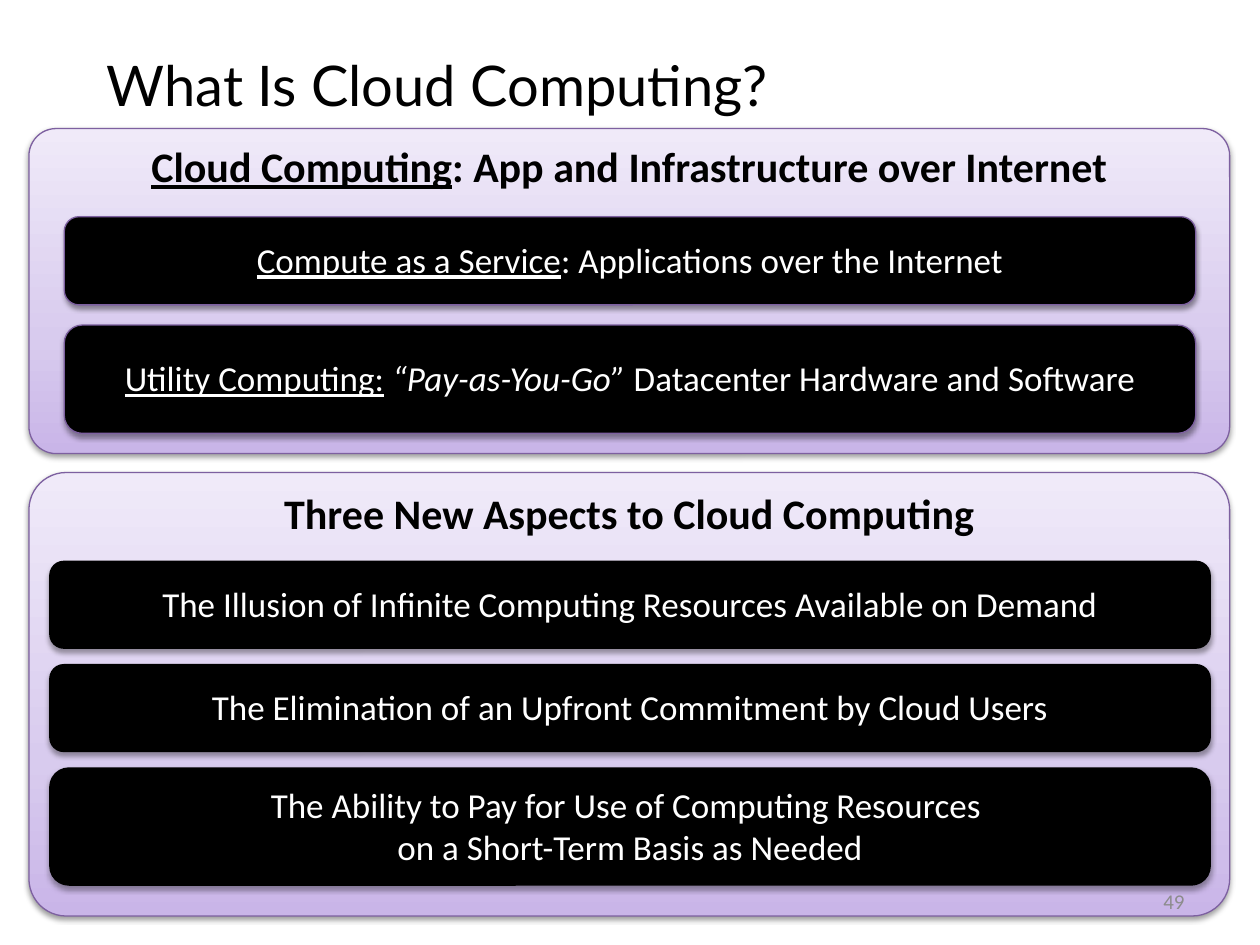
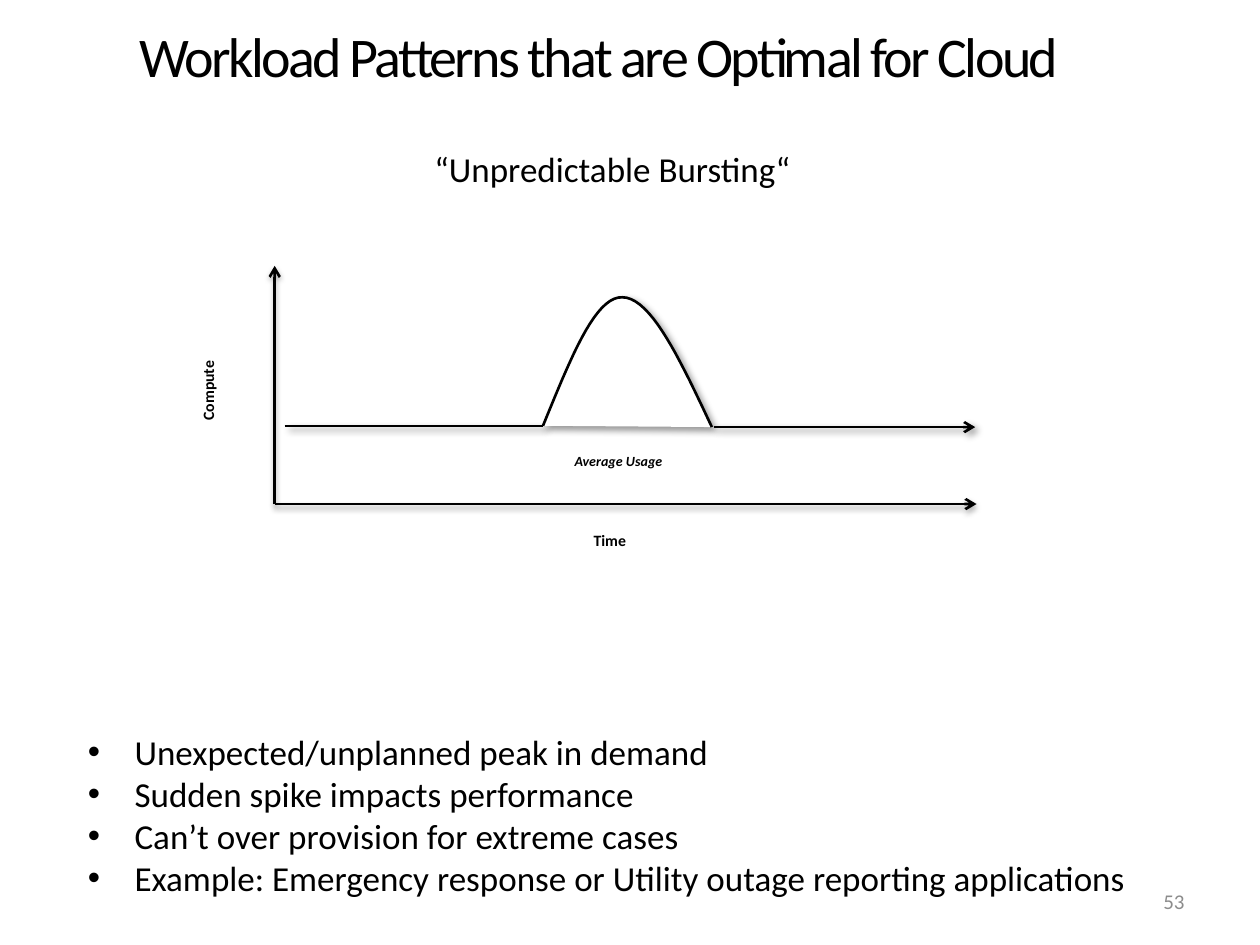
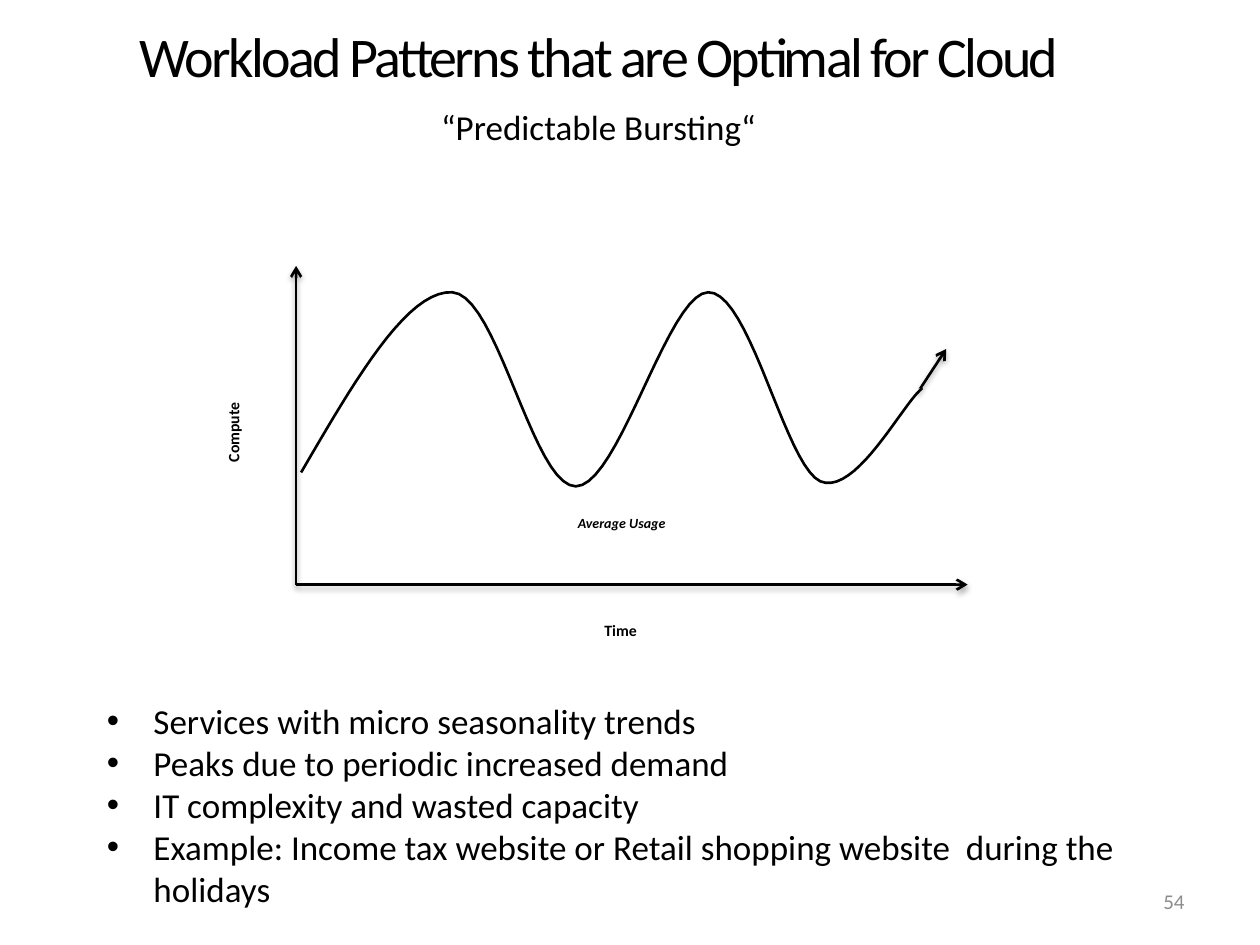
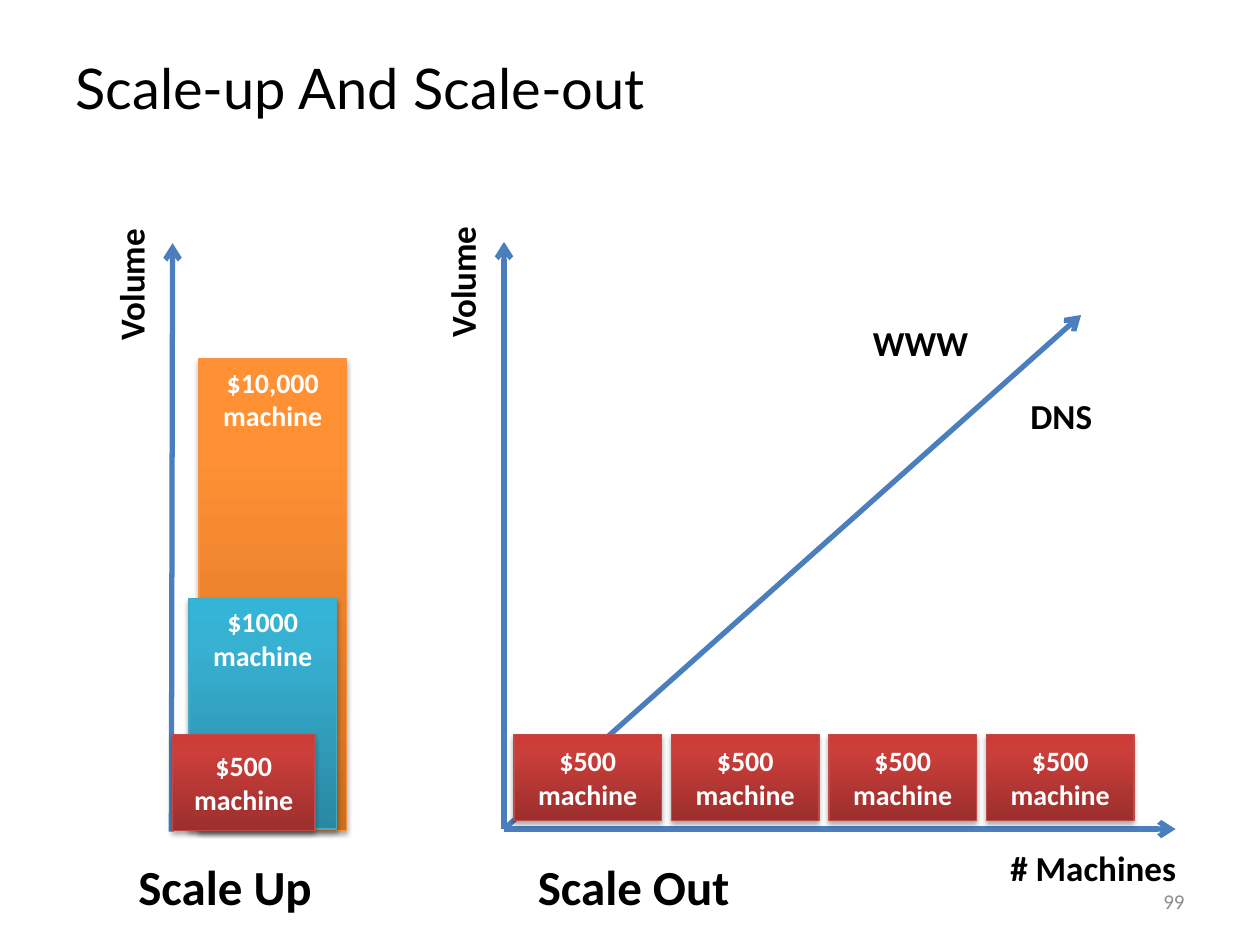
import pptx
import pptx.dml.color
import pptx.enum.shapes
import pptx.enum.text
import pptx.oxml
import pptx.oxml.ns
import pptx.util

Inches = pptx.util.Inches
Pt = pptx.util.Pt
qn = pptx.oxml.ns.qn
RGB = pptx.dml.color.RGBColor.from_string
SHAPE = pptx.enum.shapes.MSO_SHAPE
ALIGN = pptx.enum.text.PP_ALIGN
ANCHOR = pptx.enum.text.MSO_ANCHOR
NAMESPACE = pptx.oxml.ns.nsdecls("a")

COLORS = {
    "black": "000000",
    "white": "FFFFFF",
    "page number": "8C8C8C",
    "purple": "7D60A0",
    "axis blue": "4B7EBC",
    "orange": "F69240",
    "teal": "46AAC5",
    "red": "BF4C48",
}
# Each gradient runs from bottom to top: (position in percent, colour).
GRADIENTS = {
    "lavender": [(0, "C9B5E8"), (35, "D8CBEE"), (100, "F0EAF9")],
    "orange blend": [(0, "CC6E20"), (80, "FF9034"), (100, "FF9136")],
    "teal blend": [(0, "2A88A2"), (80, "37B1D2"), (100, "34B4D6")],
    "red blend": [(0, "9C2F2D"), (80, "CB3E3A"), (100, "CE3B37")],
}
# Shadows: opacity in percent, blur and distance in points, direction in degrees.
PANEL_SHADOW = (38, 3.1, 1.6, 90)
SHADOW = (35, 3.1, 1.8, 90)
BURST_SHADOW = (40, 4, 3, 45)
SHADOW_XML = (
    '<a:effectLst {}><a:outerShdw blurRad="{}" dist="{}" dir="{}" rotWithShape="0">'
    '<a:srgbClr val="000000"><a:alpha val="{}"/></a:srgbClr></a:outerShdw></a:effectLst>'
)
TITLE_SIZE = 32
BODY_SIZE = 20


def finish(shape, line=None, width=0.75, shadow=None, arrow=False):
    """Set the outline, arrowhead and shadow of a shape or connector."""
    if line:
        shape.line.color.rgb = RGB(COLORS[line])
        shape.line.width = Pt(width)
    else:
        shape.line.fill.background()
    properties = shape.element.spPr
    if arrow:
        head = pptx.oxml.parse_xml(f'<a:tailEnd {NAMESPACE} type="arrow"/>')
        properties.find(qn("a:ln")).append(head)
    if shadow:
        opacity, blur, distance, direction = shadow
        effect = SHADOW_XML.format(NAMESPACE, Pt(blur), Pt(distance), direction * 60000, opacity * 1000)
    else:
        effect = f"<a:effectLst {NAMESPACE}/>"
    properties.append(pptx.oxml.parse_xml(effect))


def add_box(slide, at, paragraphs=(), size=BODY_SIZE, color="black", font="Calibri",
            bold=False, italic=False, align=ALIGN.LEFT, anchor=ANCHOR.TOP,
            margins=(0.1, 0.05, 0.1, 0.05), spacing=None, tracking=None, bullet=False,
            wrap=True, rotation=0, fill=None, line=None, width=0.75, shadow=None,
            kind=SHAPE.RECTANGLE, corner=None):
    """Add a text box, or a shape if there is a fill.

    A paragraph is a string, or a list of (text, flags) with flags u and i.
    """
    place = [Inches(length) for length in at]
    if fill is None:
        shape = slide.shapes.add_textbox(*place)
    else:
        shape = slide.shapes.add_shape(kind, *place)
        if corner:
            shape.adjustments[0] = corner
        if fill in GRADIENTS:
            shape.fill.gradient()
            shape.fill.gradient_angle = 90
            stops = shape.element.spPr.find(".//" + qn("a:gsLst"))
            stops.clear()
            for position, value in GRADIENTS[fill]:
                stops.append(pptx.oxml.parse_xml(
                    f'<a:gs {NAMESPACE} pos="{position * 1000}"><a:srgbClr val="{value}"/></a:gs>'))
        else:
            shape.fill.solid()
            shape.fill.fore_color.rgb = RGB(COLORS[fill])
        finish(shape, line, width, shadow)
    shape.rotation = rotation

    frame = shape.text_frame
    frame.word_wrap = wrap
    frame.vertical_anchor = anchor
    frame.margin_left, frame.margin_top, frame.margin_right, frame.margin_bottom = map(Inches, margins)
    for index, content in enumerate(paragraphs):
        paragraph = frame.add_paragraph() if index else frame.paragraphs[0]
        paragraph.alignment = align
        if spacing:
            paragraph.line_spacing = spacing
        if bullet:
            settings = paragraph._p.get_or_add_pPr()
            settings.set("marL", str(Inches(0.37)))
            settings.set("indent", str(Inches(-0.37)))
            settings.append(pptx.oxml.parse_xml(f'<a:buFont {NAMESPACE} typeface="Arial"/>'))
            settings.append(pptx.oxml.parse_xml(f'<a:buChar {NAMESPACE} char="•"/>'))
        if isinstance(content, str):
            paragraph.text = content
        else:
            for text, flags in content:
                run = paragraph.add_run()
                run.text = text
                run.font.underline = "u" in flags
                run.font.italic = "i" in flags
        for run in paragraph.runs:
            run.font.name = font
            run.font.size = Pt(size)
            run.font.color.rgb = RGB(COLORS[color])
            run.font.bold = bold
            if italic:
                run.font.italic = True
            if tracking:
                run.font._element.set("spc", str(tracking))


presentation = pptx.Presentation()
presentation.slide_width = Inches(10)
presentation.slide_height = Inches(7.5)
slides = [presentation.slides.add_slide(presentation.slide_layouts[6]) for _ in range(4)]
definition_slide, unpredictable_slide, predictable_slide, scaling_slide = slides

title_style = dict(size=TITLE_SIZE, font="Lato", anchor=ANCHOR.MIDDLE)

# What is cloud computing
add_box(definition_slide, (0.75, 0.17, 8.5, 1), ["What Is Cloud Computing?"], **title_style)

rounded = dict(kind=SHAPE.ROUNDED_RECTANGLE, align=ALIGN.CENTER, margins=(0.1, 0.03, 0.1, 0.05))
panel_style = dict(rounded, size=24, bold=True, fill="lavender", line="purple",
                   shadow=PANEL_SHADOW, corner=0.084)
bar_style = dict(rounded, color="white", fill="black", anchor=ANCHOR.MIDDLE)

add_box(definition_slide, (0.23, 1.02, 9.53, 2.58),
        [[("Cloud Computing", "u"), (": App and Infrastructure over Internet", "")]], **panel_style)
services = [
    (1.72, 0.7, [("Compute as a Service", "u"), (": Applications over the Internet", "")]),
    (2.58, 0.86, [("Utility Computing:", "u"), (" ", ""), ("“Pay-as-You-Go” ", "i"),
                  ("Datacenter Hardware and Software", "")]),
]
for top, height, runs in services:
    add_box(definition_slide, (0.51, top, 8.98, height), [runs],
            line="purple", shadow=PANEL_SHADOW, **bar_style)

add_box(definition_slide, (0.23, 3.75, 9.53, 3.52), ["Three New Aspects to Cloud Computing"], **panel_style)
aspects = [
    ("The Illusion of Infinite Computing Resources Available on Demand", 0.7),
    ("The Elimination of an Upfront Commitment by Cloud Users", 0.7),
    ("The Ability to Pay for Use of Computing Resources \non a Short-Term Basis as Needed", 0.94),
]
for index, (aspect, height) in enumerate(aspects):
    add_box(definition_slide, (0.39, 4.45 + 0.82 * index, 9.22, height), [aspect],
            shadow=SHADOW, **bar_style)

# Workload patterns; a curve is a start point followed by cubic Bézier segments
patterns = [
    dict(
        slide=unpredictable_slide,
        panel=(0.92, 1.08, 8, 4.58),
        origin=(2.18, 4), axis_top=2.11, axis_right=7.75,
        compute=(1.06, 2.87, 1.47, 0.46), time=(4.06, 4.2, 1.56, 0.42),
        subtitle=("“Unpredictable Bursting“", (1.77, 1.16, 6.28, 0.78)),
        average=(3.9, 3.59, 2.02, 0.28),
        bullets_at=(0.6, 5.75, 8.9, 1.45),
        bullets=["Unexpected/unplanned peak in demand",
                 "Sudden spike impacts performance",
                 "Can’t over provision for extreme cases",
                 "Example: Emergency response or Utility outage reporting applications"],
        usage_lines=[((5.67, 3.39), (7.74, 3.39), True), ((2.26, 3.38), (4.31, 3.38), False)],
        line_shadow=BURST_SHADOW, curve_shadow=BURST_SHADOW,
        start=(4.31, 3.38),
        segments=[((4.52, 2.87), (4.72, 2.35), (4.94, 2.36)),
                  ((5.17, 2.36), (5.41, 2.88), (5.65, 3.39))],
    ),
    dict(
        slide=predictable_slide,
        panel=(1.33, 0.71, 7.01, 5.15),
        origin=(2.35, 4.64), axis_top=2.11, axis_right=7.68,
        compute=(1, 3.21, 1.97, 0.44), time=(4.18, 4.92, 1.49, 0.56),
        subtitle=("“Predictable Bursting“", (1.59, 0.83, 6.42, 1.04)),
        average=(3.97, 4.08, 1.93, 0.38),
        bullets_at=(0.75, 5.5, 9, 1.78),
        bullets=["Services with micro seasonality trends",
                 "Peaks due to periodic increased demand",
                 "IT complexity and wasted capacity",
                 "Example: Income tax website or Retail shopping website  during the holidays"],
        usage_lines=[((7.28, 3.12), (7.51, 2.77), True)],
        line_shadow=SHADOW, curve_shadow=None,
        start=(2.39, 3.75),
        segments=[((2.81, 3.03), (3.23, 2.3), (3.59, 2.32)),
                  ((3.95, 2.34), (4.23, 3.86), (4.57, 3.86)),
                  ((4.91, 3.86), (5.3, 2.33), (5.62, 2.32)),
                  ((5.95, 2.31), (6.23, 3.69), (6.51, 3.82)),
                  ((6.79, 3.94), (7.16, 3.21), (7.32, 3.08))],
    ),
]
axis_label_style = dict(size=9, bold=True, align=ALIGN.CENTER, spacing=Pt(8), fill="white")
CURVE_STEPS = 20

for pattern in patterns:
    slide = pattern["slide"]
    add_box(slide, (0.31, 0.23, 9.29, 0.49), ["Workload Patterns that are Optimal for Cloud"],
            size=TITLE_SIZE, align=ALIGN.CENTER, spacing=0.9, tracking=-150, margins=(0, 0, 0.4, 0))
    add_box(slide, pattern["panel"], fill="white", line="white", width=1.25)

    left, bottom = pattern["origin"]
    axes = [((left, bottom), (left, pattern["axis_top"]), True),
            ((left, bottom), (pattern["axis_right"], bottom), True)]
    for lines, shadow in [(axes, SHADOW), (pattern["usage_lines"], pattern["line_shadow"])]:
        for begin, end, arrow in lines:
            connector = slide.shapes.add_connector(
                pptx.enum.shapes.MSO_CONNECTOR.STRAIGHT, *map(Inches, begin + end))
            finish(connector, "black", 1.5, shadow, arrow)

    add_box(slide, pattern["compute"], ["Compute"], rotation=270, **axis_label_style)
    add_box(slide, pattern["time"], ["Time"], **axis_label_style)
    subtitle, subtitle_at = pattern["subtitle"]
    add_box(slide, subtitle_at, [subtitle], align=ALIGN.CENTER, spacing=0.9,
            margins=(0, 0.05, 0.1, 0.05), fill="white")
    add_box(slide, pattern["average"], ["Average Usage"], size=8, bold=True, italic=True,
            align=ALIGN.CENTER, margins=(0, 0, 0, 0), fill="white")
    add_box(slide, pattern["bullets_at"], pattern["bullets"], bullet=True, fill="white")

    start = pattern["start"]
    builder = slide.shapes.build_freeform(*map(Inches, start))
    for first_control, second_control, end in pattern["segments"]:
        points = []
        for step in range(1, CURVE_STEPS + 1):
            t = step / CURVE_STEPS
            weights = ((1 - t) ** 3, 3 * t * (1 - t) ** 2, 3 * t ** 2 * (1 - t), t ** 3)
            points.append([
                Inches(sum(weight * value for weight, value in zip(weights, values)))
                for values in zip(start, first_control, second_control, end)])
        builder.add_line_segments(points, close=False)
        start = end
    curve = builder.convert_to_shape()
    curve.fill.solid()
    curve.fill.fore_color.rgb = RGB(COLORS["white"])
    finish(curve, "black", 1.5, pattern["curve_shadow"])

# Scale-up and scale-out
add_box(scaling_slide, (0.5, 0.3, 9, 0.78), ["Scale-up And Scale-out"], **title_style)
scaling_lines = [
    ((1.36, 6.6), (1.37, 1.93)),
    ((4, 6.58), (9.33, 6.58)),
    ((4, 6.58), (8.58, 2.5)),
    ((4, 6.58), (4, 1.92)),
]
for begin, end in scaling_lines:
    connector = scaling_slide.shapes.add_connector(
        pptx.enum.shapes.MSO_CONNECTOR.STRAIGHT, *map(Inches, begin + end))
    finish(connector, "axis blue", 3, arrow=True)

machines = [
    ("$10,000", (1.58, 2.85, 1.17, 3.74), "orange", ANCHOR.TOP),
    ("$1000", (1.5, 4.75, 1.17, 1.83), "teal", ANCHOR.TOP),
    ("$500", (1.37, 5.83, 1.13, 0.76), "red", ANCHOR.MIDDLE),
]
for index in range(4):
    machines.append(("$500", (4.08 + 1.25 * index, 5.83, 1.17, 0.68), "red", ANCHOR.MIDDLE))
for price, at, hue, anchor in machines:
    add_box(scaling_slide, at, [price, "machine"], size=16, bold=True, color="white",
            align=ALIGN.CENTER, anchor=anchor, fill=hue + " blend", line=hue, shadow=SHADOW)

labels = [
    ("Volume", (0.49, 2.03, 1.1, 0.44), 270),
    ("Volume", (3.12, 2.01, 1.1, 0.44), 270),
    ("# Machines", (7.92, 6.67, 1.53, 0.44), 0),
    ("DNS", (8.08, 3.08, 0.7, 0.44), 0),
    ("WWW", (6.83, 2.5, 0.97, 0.44), 0),
]
for label, at, rotation in labels:
    add_box(scaling_slide, at, [label], bold=True, wrap=False, rotation=rotation)
for caption, left in [("Scale Up", 1), ("Scale Out", 4.17)]:
    add_box(scaling_slide, (left, 6.75, 2.5, 0.57), [caption], size=28, bold=True)

# Page numbers
for slide, number in zip(slides, (49, 53, 54, 99)):
    add_box(slide, (7.17, 6.95, 2.33, 0.4), [str(number)], size=12, color="page number",
            align=ALIGN.RIGHT, anchor=ANCHOR.MIDDLE)

presentation.save("out.pptx")
